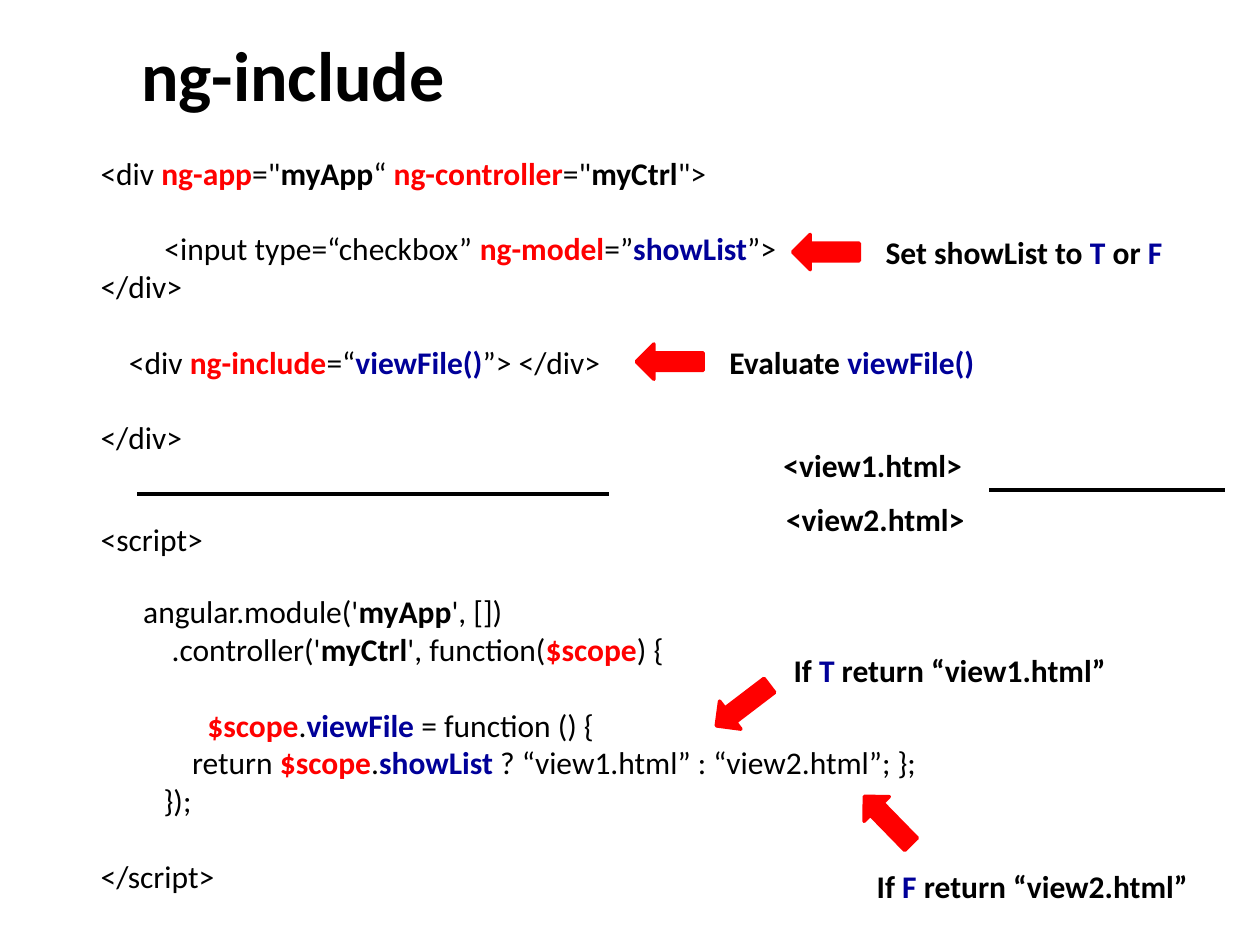
from functools import partial
from typing import NamedTuple

from lxml.etree import SubElement
from pptx import Presentation
from pptx.dml.color import RGBColor
from pptx.enum.shapes import MSO_CONNECTOR as Connector, MSO_SHAPE as Shape
from pptx.enum.text import MSO_ANCHOR as Anchor, MSO_AUTO_SIZE as AutoSize, PP_ALIGN as Align
from pptx.oxml.ns import qn
from pptx.util import Emu, Inches, Pt

COLORS = {"black": "000000", "red": "FF0000", "blue": "000099"}
FONT = "Calibri"
CODE_SIZE = 18
BLANK_LINE = 21.6
SHORT_LINE = 19.5
COLS, ROWS = 100, 75

prs = Presentation()
prs.slide_width, prs.slide_height = Inches(10), Inches(7.5)


class Run(NamedTuple):
    text: str
    color: str = "black"
    bold: bool = False


bold = partial(Run, bold=True)
red = partial(Run, color="red", bold=True)
blue = partial(Run, color="blue", bold=True)


class Line(NamedTuple):
    runs: tuple
    before: float = 0


class Block(NamedTuple):
    col: float
    row: float
    cols: float
    rows: float
    lines: tuple
    wrap: bool = True


class Arrow(NamedTuple):
    col: float
    row: float
    rotation: float


class Rule(NamedTuple):
    row: float
    start: float
    end: float


def x(cols: float) -> Emu:
    return Emu(round(prs.slide_width * cols / COLS))


def y(rows: float) -> Emu:
    return Emu(round(prs.slide_height * rows / ROWS))


def rgb(name: str) -> RGBColor:
    return RGBColor.from_string(COLORS[name])


def note(col: float, row: float, cols: float, *runs: Run) -> Block:
    return Block(col, row, cols, 4, (Line(runs),), wrap=False)


def draw_title(slide, text: str) -> None:
    title = slide.shapes.title
    title.left, title.top, title.width, title.height = x(10.2), y(0), x(76.7), y(11.7)
    title.text_frame.text = text
    title.text_frame.vertical_anchor = Anchor.MIDDLE
    p = title.text_frame.paragraphs[0]
    p.alignment = Align.LEFT
    p.font.name, p.font.size, p.font.bold = FONT, Pt(40), True
    p.font.color.rgb = rgb("black")


def draw_block(slide, block: Block) -> None:
    sp = slide.shapes.add_textbox(x(block.col), y(block.row), x(block.cols), y(block.rows))
    tf = sp.text_frame
    tf.word_wrap = block.wrap
    tf.auto_size = AutoSize.SHAPE_TO_FIT_TEXT
    for i, line in enumerate(block.lines):
        p = tf.add_paragraph() if i else tf.paragraphs[0]
        p.space_before = Pt(line.before)
        p.font.name, p.font.size = FONT, Pt(CODE_SIZE)
        for run in line.runs:
            r = p.add_run()
            r.text = run.text
            r.font.bold = run.bold
            r.font.color.rgb = rgb(run.color)


def draw_arrow(slide, arrow: Arrow) -> None:
    sp = slide.shapes.add_shape(Shape.RIGHT_ARROW, x(arrow.col), y(arrow.row), x(5.3), y(2.8))
    sp.rotation = arrow.rotation
    sp.shadow.inherit = False
    sp.fill.solid()
    sp.fill.fore_color.rgb = rgb("red")
    sp.line.color.rgb = rgb("red")
    sp.line.width = Pt(2)


def draw_rule(slide, rule: Rule) -> None:
    line = slide.shapes.add_connector(
        Connector.STRAIGHT, x(rule.start), y(rule.row), x(rule.end), y(rule.row))
    line.line.color.rgb = rgb("black")
    line.line.width = Pt(2.25)
    SubElement(line._element.spPr, qn("a:effectLst"))


MARKUP = Block(7, 11.7, 61.6, 25.2, (
    Line((Run("<div "), red("ng-app"), Run('="'), bold("myApp"), Run("“ "),
          red("ng-controller"), Run('="'), bold("myCtrl"), Run('">'))),
    Line((Run("         <input type=“checkbox” "), red("ng-model"), Run("=”"),
          blue("showList"), Run("”>")), BLANK_LINE),
    Line((Run("</div>"),)),
    Line((Run("    <div "), red("ng-include"), Run("=“"), blue("viewFile()"),
          Run("”> </div>")), BLANK_LINE),
    Line((Run("</div>"),), BLANK_LINE),
))
SCRIPT = Block(7, 40.8, 77.1, 34, (
    Line((Run("<script>"),)),
    Line((Run("      angular.module('"), bold("myApp"), Run("', [])")), SHORT_LINE),
    Line((Run("          .controller('"), bold("myCtrl"), Run("', function("),
          red("$scope"), Run(") {"))),
    Line((Run("               "), red("$scope"), Run("."), blue("viewFile"),
          Run(" = function () {")), BLANK_LINE),
    Line((Run("\t    return "), red("$scope"), Run("."), blue("showList"),
          Run(" ? “view1.html” : “view2.html”; };"))),
    Line((Run("\t});"),)),
    Line((Run("</script>"),), BLANK_LINE),
))
NOTES = (
    note(69.3, 18, 24.2, bold("Set showList to "), blue("T"), bold(" or "), blue("F")),
    note(56.9, 26.7, 21.6, bold("Evaluate "), blue("viewFile()")),
    note(61.2, 34.9, 16.3, bold("<view1.html>")),
    note(61.4, 39.2, 16.3, bold("<view2.html>")),
    note(62, 51.2, 27, bold("If "), blue("T"), bold(" return “view1.html”")),
    note(68.6, 68.3, 26.9, bold("If "), blue("F"), bold(" return “view2.html”")),
)
ARROWS = (
    Arrow(62.9, 18.6, 180),
    Arrow(50.5, 27.3, 180),
    Arrow(56.3, 54.6, 142.7),
    Arrow(67.8, 63.7, 225.7),
)
RULES = (Rule(39.2, 10.9, 48.3), Rule(38.9, 78.5, 97.2))


def main() -> None:
    slide = prs.slides.add_slide(prs.slide_layouts[5])
    draw_title(slide, "ng-include")
    for block in (MARKUP, SCRIPT, *NOTES):
        draw_block(slide, block)
    for arrow in ARROWS:
        draw_arrow(slide, arrow)
    for rule in RULES:
        draw_rule(slide, rule)
    prs.save("out.pptx")


if __name__ == "__main__":
    main()
